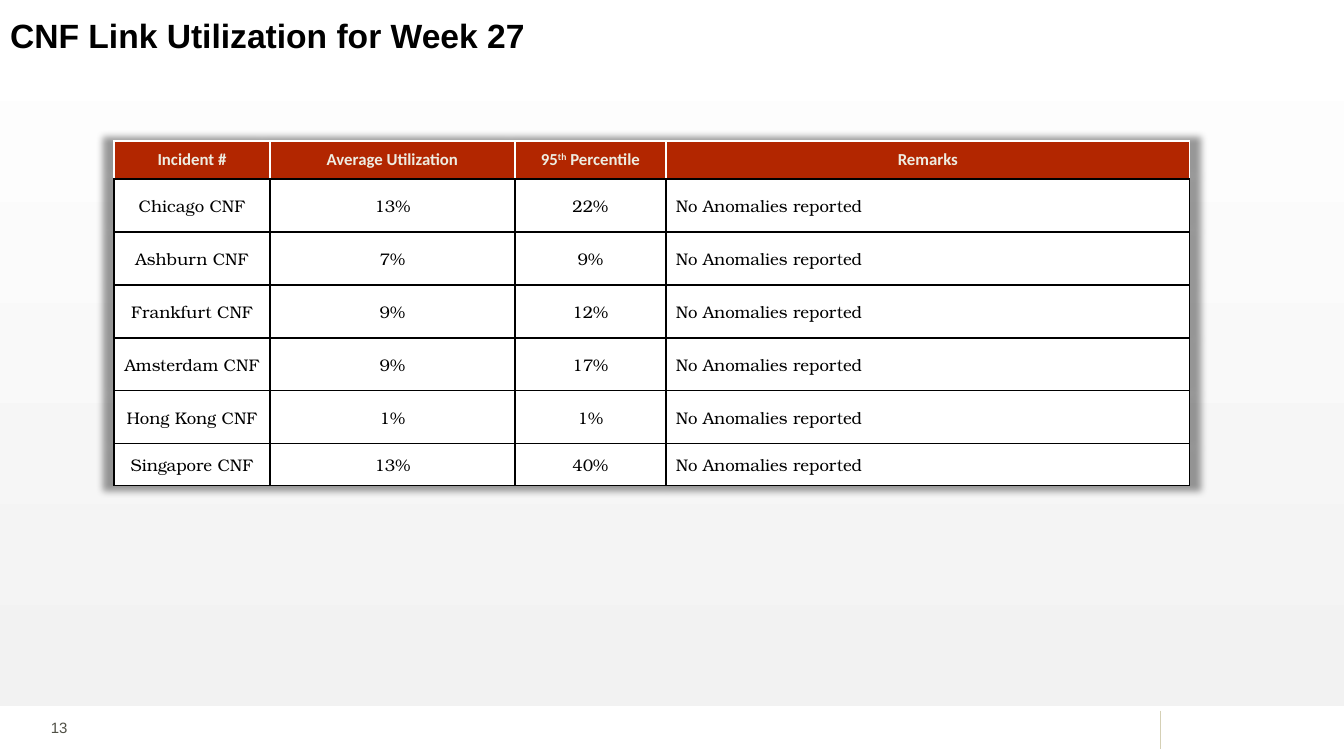
from pptx import Presentation
from pptx.dml.color import RGBColor
from pptx.enum.shapes import MSO_CONNECTOR, MSO_SHAPE
from pptx.enum.text import MSO_ANCHOR, PP_ALIGN
from pptx.oxml import parse_xml
from pptx.oxml.ns import nsdecls
from pptx.util import Emu, Pt

EMU_PER_PX = 914400 / 100.8
TITLE_ONLY = 5

HEADINGS = [["Incident #"], ["Average Utilization"],
            ["95", "th", " Percentile"], ["Remarks"]]
LINKS = [
    ("Chicago CNF", "13%", "22%"),
    ("Ashburn CNF", "7%", "9%"),
    ("Frankfurt CNF", "9%", "12%"),
    ("Amsterdam CNF", "9%", "17%"),
    ("Hong Kong CNF", "1%", "1%"),
    ("Singapore CNF", "13%", "40%"),
]
REMARK = "No Anomalies reported"
COLUMN_WIDTHS = [156, 245, 151, 524]
ROW_HEIGHTS = [38] + [53] * 5 + [42]


def px(length):
    return Emu(round(length * EMU_PER_PX))


def rgb(value):
    return RGBColor.from_string(value)


class UtilizationSlide:
    HEADING_FONT = "Calibri"
    BODY_FONT = "TeX Gyre Bonum"
    FRAME_FONT = "Arial"
    BLACK, WHITE = "000000", "FFFFFF"
    RED, CREAM = "B22600", "EEECE1"

    def __init__(self, presentation):
        layout = presentation.slide_layouts[TITLE_ONLY]
        self.slide = presentation.slides.add_slide(layout)
        self.shapes = self.slide.shapes

    def style(self, paragraph, font, size, color, bold=False,
              align=PP_ALIGN.LEFT):
        paragraph.alignment = align
        for run in paragraph.runs:
            run.font.name = font
            run.font.size = Pt(size)
            run.font.bold = bold
            run.font.color.rgb = rgb(color)

    def backdrop(self, left, top, width, height, bottom_color, top_color):
        panel = self.shapes.add_shape(
            MSO_SHAPE.RECTANGLE, px(left), px(top), px(width), px(height))
        panel.shadow.inherit = False
        panel.line.fill.background()
        panel.fill.gradient()
        panel.fill.gradient_angle = 90
        for stop, color in zip(panel.fill.gradient_stops,
                               (bottom_color, top_color)):
            stop.color.rgb = rgb(color)

    def title(self, text, left, top, width, height):
        heading = self.shapes.title
        heading.left, heading.top = px(left), px(top)
        heading.width, heading.height = px(width), px(height)
        heading.element.getparent().append(heading.element)  # bring to front
        frame = heading.text_frame
        frame.text = text
        frame.vertical_anchor = MSO_ANCHOR.MIDDLE
        frame.paragraphs[0].line_spacing = 0.9
        self.style(frame.paragraphs[0], self.FRAME_FONT, 24, self.BLACK, True)

    def page_number(self, number, left, top, width, height):
        box = self.shapes.add_textbox(px(left), px(top), px(width), px(height))
        frame = box.text_frame
        frame.word_wrap = True
        frame.text = number
        self.style(frame.paragraphs[0], self.FRAME_FONT, 10.7, "505046")

    def divider(self, x, top, bottom, color):
        rule = self.shapes.add_connector(
            MSO_CONNECTOR.STRAIGHT, px(x), px(top), px(x), px(bottom))
        rule.line.color.rgb = rgb(color)
        rule.line.width = Pt(0.5)
        rule.element.spPr.append(
            parse_xml(f"<a:effectLst {nsdecls('a')}/>"))

    def table(self, left, top):
        table = self.shapes.add_table(
            len(ROW_HEIGHTS), len(COLUMN_WIDTHS), px(left), px(top),
            px(sum(COLUMN_WIDTHS)), px(sum(ROW_HEIGHTS))).table
        table.horz_banding = False
        for column, width in zip(table.columns, COLUMN_WIDTHS):
            column.width = px(width)
        for row, height in zip(table.rows, ROW_HEIGHTS):
            row.height = px(height)
        self.glow_shadow(table)
        for column, pieces in enumerate(HEADINGS):
            self.heading_cell(table.cell(0, column), pieces)
        for row, link in enumerate(LINKS, start=1):
            for column, text in enumerate(link):
                self.body_cell(table.cell(row, column), text)
            self.body_cell(table.cell(row, len(link)), REMARK,
                           PP_ALIGN.LEFT, (10, 2))

    def glow_shadow(self, table):
        """Give the table a soft shadow slightly larger than itself."""
        table._tbl.tblPr.insert(0, parse_xml(
            f'<a:effectLst {nsdecls("a")}><a:outerShdw blurRad="63500" '
            'sx="102000" sy="102000" algn="ctr" rotWithShape="0">'
            f'<a:srgbClr val="{self.BLACK}"><a:alpha val="40000"/></a:srgbClr>'
            '</a:outerShdw></a:effectLst>'))

    def heading_cell(self, cell, pieces):
        self.frame_cell(cell, self.RED, self.WHITE, (10, 5))
        paragraph = cell.text_frame.paragraphs[0]
        for piece in pieces:
            run = paragraph.add_run()
            run.text = piece
            if piece == "th":
                run._r.get_or_add_rPr().set("baseline", "30000")
        self.style(paragraph, self.HEADING_FONT, 12, self.CREAM, True,
                   PP_ALIGN.CENTER)

    def body_cell(self, cell, text, align=PP_ALIGN.CENTER, insets=(0, 0)):
        self.frame_cell(cell, self.WHITE, self.BLACK, insets)
        cell.text_frame.text = text
        self.style(cell.text_frame.paragraphs[0], self.BODY_FONT, 12,
                   self.BLACK, align=align)

    def frame_cell(self, cell, fill, border, insets):
        """Set borders (the bottom one is always black), fill and margins."""
        properties = cell._tc.get_or_add_tcPr()
        for side in "LRTB":
            color = self.BLACK if side == "B" else border
            properties.append(parse_xml(
                f'<a:ln{side} {nsdecls("a")} w="12700"><a:solidFill>'
                f'<a:srgbClr val="{color}"/></a:solidFill></a:ln{side}>'))
        cell.fill.solid()
        cell.fill.fore_color.rgb = rgb(fill)
        cell.vertical_anchor = MSO_ANCHOR.MIDDLE
        cell.margin_left = cell.margin_right = px(insets[0])
        cell.margin_top = cell.margin_bottom = px(insets[1])


def main():
    presentation = Presentation()
    presentation.slide_width, presentation.slide_height = px(1344), px(756)
    slide = UtilizationSlide(presentation)
    slide.backdrop(0, 0, 1344, 706, "F2F2F2", "FFFFFF")
    slide.page_number("13", 41, 714, 77, 28)
    slide.divider(1160, 711, 749, "D5D0B5")
    slide.title("CNF Link Utilization for Week 27", 0, 0, 1269, 75)
    slide.table(114, 141)
    presentation.save("out.pptx")


if __name__ == "__main__":
    main()
